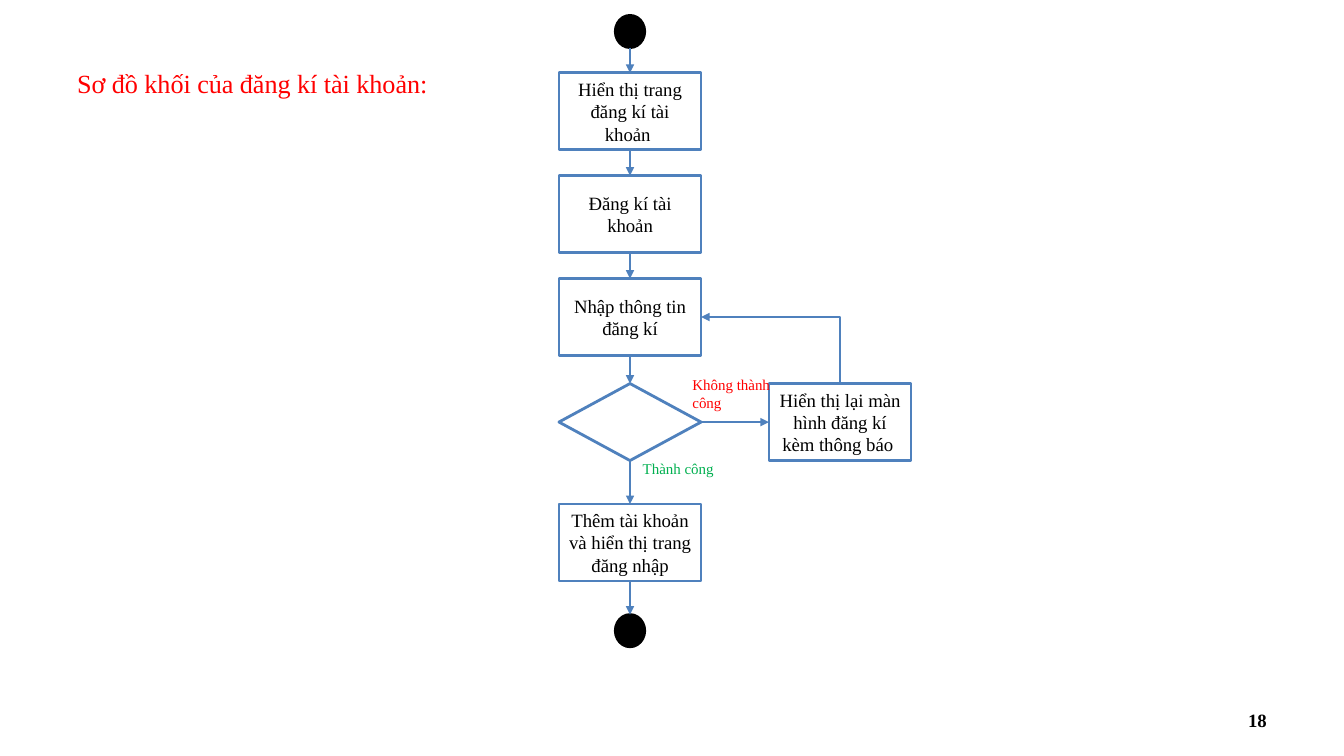
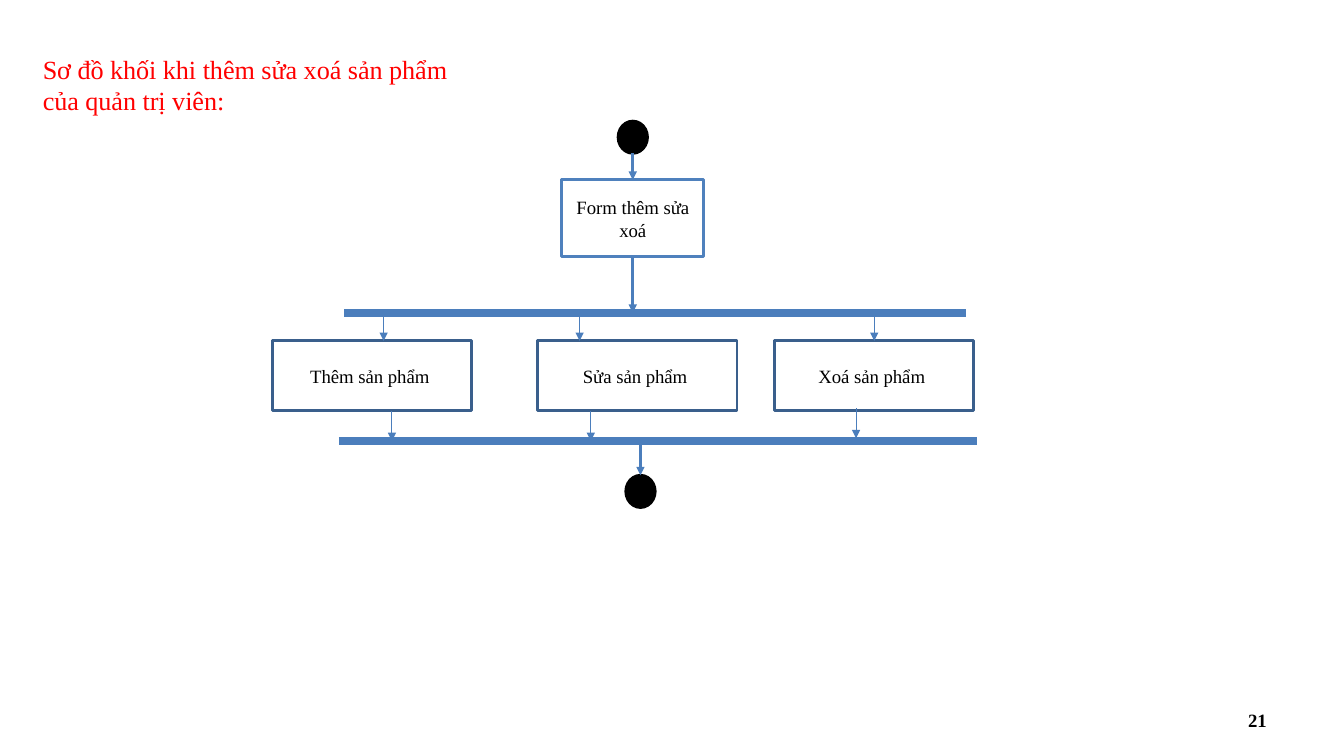
import lxml.etree
import pptx
import pptx.dml.color
import pptx.enum.shapes
import pptx.enum.text
import pptx.oxml.ns
import pptx.util

BLACK = pptx.dml.color.RGBColor(0x00, 0x00, 0x00)
RED = pptx.dml.color.RGBColor(0xFF, 0x00, 0x00)
GREEN = pptx.dml.color.RGBColor(0x00, 0xB0, 0x50)
BLUE = pptx.dml.color.RGBColor(0x4F, 0x81, 0xBD)
STEEL = pptx.dml.color.RGBColor(0x4B, 0x7E, 0xBC)
NAVY = pptx.dml.color.RGBColor(0x3A, 0x5F, 0x8C)

KIND = pptx.enum.shapes.MSO_SHAPE
WIRE = pptx.enum.shapes.MSO_CONNECTOR
ALIGN = pptx.enum.text.PP_ALIGN
ANCHOR = pptx.enum.text.MSO_ANCHOR

FONT = "Times New Roman"
TITLE = {"name": FONT, "size": pptx.util.Pt(18.67)}
BODY = {"name": FONT, "size": pptx.util.Pt(13.33)}
NOTE = {"name": FONT, "size": pptx.util.Pt(10.67)}
FOOT = {**BODY, "bold": True}

STEP_W, STEP_H = 101.5, 55
DOT_W, DOT_H = 21, 23
TASK_W, TASK_H = 142.5, 50


def points(*vals):
    """Turn plain numbers into point lengths."""
    return [pptx.util.Pt(val) for val in vals]


def style(part, looks):
    """Set every format value of a dict on one object."""
    for key, val in looks.items():
        setattr(part, key, val)


def write(shape, text, font, color, align=ALIGN.LEFT, anchor=ANCHOR.TOP):
    """Put one styled paragraph into a shape."""
    frame = shape.text_frame
    style(frame, {"word_wrap": True, "vertical_anchor": anchor})
    para = frame.paragraphs[0]
    para.alignment = align
    run = para.add_run()
    run.text = text
    style(run.font, font)
    run.font.color.rgb = color


def label(slide, box, text, font, color, **place):
    """Add a text box."""
    write(slide.shapes.add_textbox(*points(*box)), text, font, color, **place)


def block(slide, box, text="", kind=KIND.RECTANGLE, color=BLUE, fill=None):
    """Add an outlined shape with centred text."""
    shape = slide.shapes.add_shape(kind, *points(*box))
    shape.shadow.inherit = False
    if fill is None:
        shape.fill.background()
    else:
        shape.fill.solid()
        shape.fill.fore_color.rgb = fill
    shape.line.color.rgb = color
    shape.line.width = pptx.util.Pt(2)
    if text:
        write(shape, text, BODY, BLACK, ALIGN.CENTER, ANCHOR.MIDDLE)
    return shape


def dot(slide, mid, top):
    """Add a black start or end dot centred on mid."""
    box = (mid - DOT_W / 2, top, DOT_W, DOT_H)
    return block(slide, box, kind=KIND.OVAL, color=BLACK, fill=BLACK)


def step(slide, mid, top, text="", kind=KIND.RECTANGLE):
    """Add a process step centred on mid."""
    return block(slide, (mid - STEP_W / 2, top, STEP_W, STEP_H), text, kind)


def line(slide, start, end, color=BLUE, width=2, head=True, kind=WIRE.STRAIGHT):
    """Add a connector, with an arrowhead at its end if asked."""
    wire = slide.shapes.add_connector(kind, *points(*start, *end))
    wire.line.color.rgb = color
    wire.line.width = pptx.util.Pt(width)
    qn = pptx.oxml.ns.qn
    if head:
        lxml.etree.SubElement(wire.get_or_add_ln(), qn("a:tailEnd"), type="triangle")
    lxml.etree.SubElement(wire.element.spPr, qn("a:effectLst"))
    return wire


def link(slide, first, last, color=BLUE, sides=(2, 0)):
    """Join two shapes by an arrow glued to the given sides."""
    mid = first.left + first.width // 2
    start = (mid / 12700, (first.top + first.height) / 12700)
    wire = line(slide, start, (mid / 12700, last.top / 12700), color)
    if first.auto_shape_type != KIND.OVAL:
        wire.begin_connect(first, sides[0])
    wire.end_connect(last, sides[1])


def bend(slide, start, end):
    """Add an arrow that goes up from start, then left to end."""
    mid_x, mid_y = (start[0] + end[0]) / 2, (start[1] + end[1]) / 2
    half_w, half_h = (start[1] - end[1]) / 2, (start[0] - end[0]) / 2
    wire = line(slide, (mid_x - half_w, mid_y + half_h),
                (mid_x + half_w, mid_y - half_h), kind=WIRE.ELBOW)
    qn = pptx.oxml.ns.qn
    wire.element.spPr.find(qn("a:prstGeom")).set("prst", "bentConnector2")
    wire.element.spPr.find(qn("a:xfrm")).set("rot", "16200000")


def page(deck, box, title, number):
    """Add a blank slide with its red title and page number."""
    slide = deck.slides.add_slide(deck.slide_layouts[6])
    label(slide, (688, 500, 224, 29), number, FOOT, BLACK,
          align=ALIGN.RIGHT, anchor=ANCHOR.MIDDLE)
    label(slide, box, title, TITLE, RED)
    return slide


def signup(slide, mid, top):
    """Draw the sign-up flow, centred on mid, below top."""
    chain = [dot(slide, mid, top)]
    for drop, text, kind in (
        (41, "Hiển thị trang đăng kí tài khoản ", KIND.RECTANGLE),
        (114.5, "Đăng kí tài khoản", KIND.RECTANGLE),
        (188, "Nhập thông tin đăng kí", KIND.RECTANGLE),
        (263, "", KIND.FLOWCHART_DECISION),
        (349, "Thêm tài khoản và hiển thị trang đăng nhập", KIND.RECTANGLE),
    ):
        chain.append(step(slide, mid, top + drop, text, kind))
    chain.append(dot(slide, mid, top + 428))
    for first, last in zip(chain, chain[1:]):
        link(slide, first, last)
    side = mid + 150
    retry = step(slide, side, top + 263, "Hiển thị lại màn hình đăng kí kèm thông báo ")
    link(slide, chain[4], retry, sides=(3, 1))
    bend(slide, (side, top + 263), (mid + STEP_W / 2, top + 188 + STEP_H / 2))
    label(slide, (mid + 37.5, top + 253.5, 71, 32), "Không thành công", NOTE, RED)
    label(slide, (mid + 2, top + 314, 71, 19.5), "Thành công", NOTE, GREEN)


def manage(slide, mid, top):
    """Draw the product flow, with its form centred on mid, below top."""
    start = dot(slide, mid, top)
    form = step(slide, mid, top + 42, "Form thêm sửa xoá")
    link(slide, start, form)
    fork, join, row = top + 137, top + 228.5, top + 157
    line(slide, (mid, top + 42 + STEP_H), (mid, fork), STEEL)
    for left, right, level in ((206, 238, fork), (210, 246, join)):
        line(slide, (mid - left, level), (mid + right, level), STEEL, 6, False)
    for left, enter, leave, rise, text in (
        (-257.5, -178, -172, 0, "Thêm sản phẩm "),
        (-68, -38, -30, 0, "Sửa sản phẩm "),
        (101, 172.5, 159.5, 2, "Xoá sản phẩm "),
    ):
        block(slide, (mid + left, row, TASK_W, TASK_H), text, color=NAVY)
        line(slide, (mid + enter, fork), (mid + enter, row), STEEL, 0.75)
        line(slide, (mid + leave, row + TASK_H - rise),
             (mid + leave, join - rise), STEEL, 0.75)
    end = mid + 5.5
    dot(slide, end, top + 253)
    line(slide, (end, join), (end, top + 253), STEEL)


def main():
    """Build and save the deck."""
    deck = pptx.Presentation()
    style(deck, {"slide_width": pptx.util.Pt(960), "slide_height": pptx.util.Pt(540)})
    slide = page(deck, (48, 44.5, 281, 29), "Sơ đồ khối của đăng kí tài khoản:", "18")
    signup(slide, 450, 11)
    slide = page(deck, (23.5, 34.5, 313, 51),
                 "Sơ đồ khối khi thêm sửa xoá sản phẩm của quản trị viên:", "21")
    manage(slide, 452, 86.5)
    deck.save("out.pptx")


if __name__ == "__main__":
    main()
